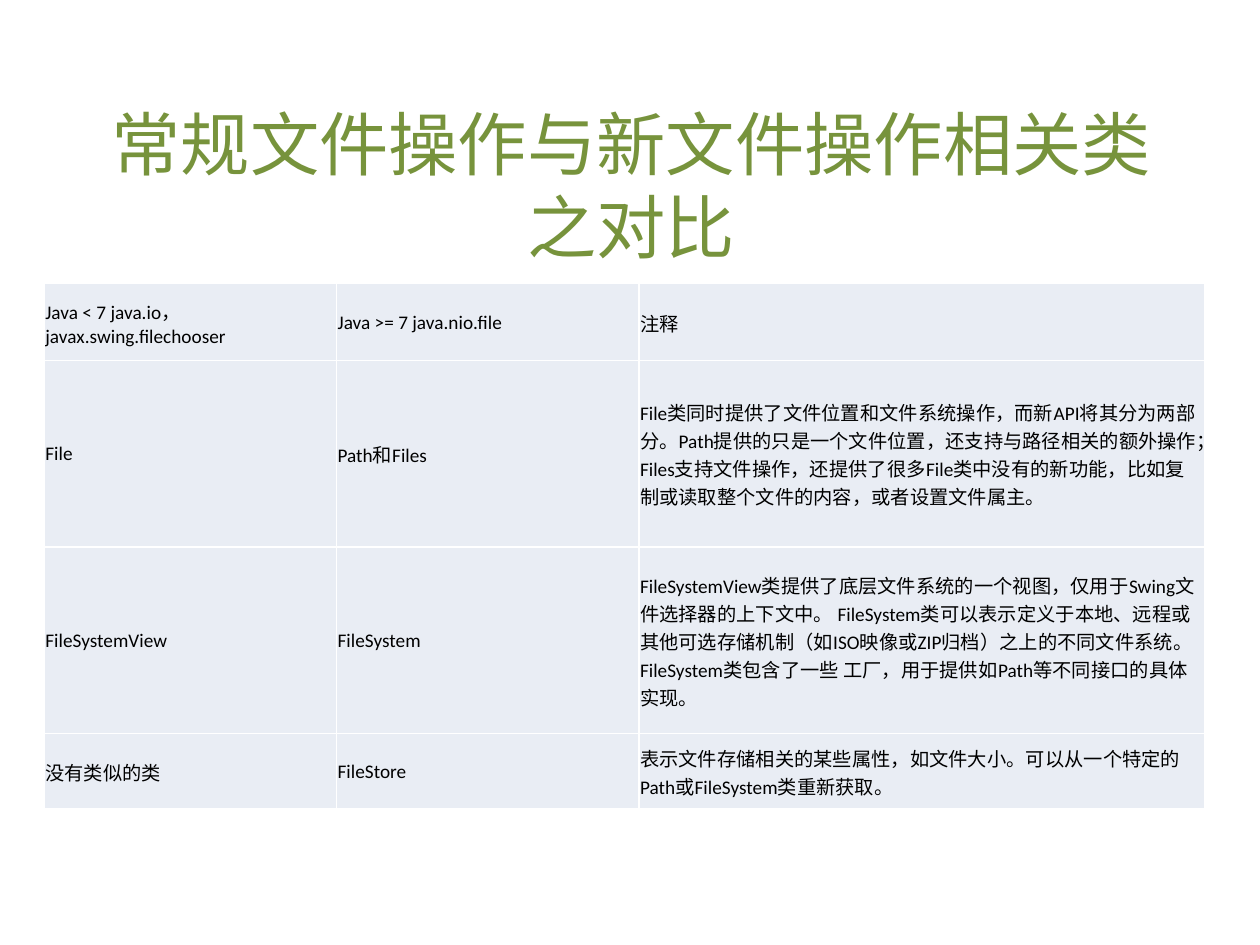
"""Build a slide that compares the old and new Java file classes in a table."""
from lxml import etree
from pptx import Presentation
from pptx.dml.color import RGBColor
from pptx.enum.text import MSO_ANCHOR, PP_ALIGN
from pptx.oxml import parse_xml
from pptx.oxml.ns import nsdecls, qn
from pptx.util import Inches, Pt

MIDDLE = MSO_ANCHOR.MIDDLE
CENTER = PP_ALIGN.CENTER
LEFT = PP_ALIGN.LEFT
HAN = "Noto Sans CJK SC"
COLORS = {"title": "77933C", "text": "000000", "cell": "E9EDF4", "line": "FFFFFF"}
WIDTHS = [2.32, 2.4, 4.49]
HEIGHTS = [0.61, 1.48, 1.48, 0.6]
ROWS = [
    ["Java < 7 java.io，javax.swing.filechooser", "Java >= 7 java.nio.file", "注释"],
    ["File", "Path和Files",
     "File类同时提供了文件位置和文件系统操作，而新API将其分为两部分。"
     "Path提供的只是一个文件位置，还支持与路径相关的额外操作；"
     "Files支持文件操作，还提供了很多File类中没有的新功能，"
     "比如复制或读取整个文件的内容，或者设置文件属主。"],
    ["FileSystemView", "FileSystem",
     "FileSystemView类提供了底层文件系统的一个视图，仅用于Swing文件选择器的上下文中。 "
     "FileSystem类可以表示定义于本地、远程或其他可选存储机制"
     "（如ISO映像或ZIP归档）之上的不同文件系统。"
     "FileSystem类包含了一些 工厂，用于提供如Path等不同接口的具体实现。"],
    ["没有类似的类", "FileStore",
     "表示文件存储相关的某些属性，如文件大小。"
     "可以从一个特定的Path或FileSystem类重新获取。"],
]


def style(para, face, size, color, align):
    para.alignment = align
    font = para.font
    font.name, font.size = face, Pt(size)
    font.color.rgb = RGBColor.from_string(COLORS[color])
    props = para._p.pPr.find(qn("a:defRPr"))
    latin = props.find(qn("a:latin"))
    east = etree.Element(qn("a:ea"), typeface=HAN)
    latin.addnext(east)


def border(cell):
    props = cell._tc.get_or_add_tcPr()
    for side in ("lnL", "lnR", "lnT", "lnB"):
        props.append(parse_xml(
            f'<a:{side} {nsdecls("a")} w="{Pt(1)}"><a:solidFill>'
            f'<a:srgbClr val="{COLORS["line"]}"/></a:solidFill></a:{side}>'))


prs = Presentation()
prs.slide_width, prs.slide_height = Inches(10), Inches(7.5)
slide = prs.slides.add_slide(prs.slide_layouts[5])

title = slide.shapes.title
title.left, title.top = Inches(0.51), Inches(0.84)
title.width, title.height = Inches(9), Inches(1.25)
title.text_frame.text = "常规文件操作与新文件操作相关类之对比"
title.text_frame.vertical_anchor = MIDDLE
style(title.text_frame.paragraphs[0], HAN, 39.6, "title", CENTER)

table = slide.shapes.add_table(
    len(ROWS), len(WIDTHS), Inches(0.35), Inches(2.25),
    Inches(sum(WIDTHS)), Inches(sum(HEIGHTS))).table
table.first_row = table.horz_banding = False
for col, width in zip(table.columns, WIDTHS):
    col.width = Inches(width)
for row, height, texts in zip(table.rows, HEIGHTS, ROWS):
    row.height = Inches(height)
    for cell, text in zip(row.cells, texts):
        cell.text = text
        cell.vertical_anchor = MIDDLE
        cell.margin_left = cell.margin_right = cell.margin_top = Inches(0.01)
        cell.margin_bottom = 0
        style(cell.text_frame.paragraphs[0], "Calibri", 11, "text", LEFT)
        border(cell)
        cell.fill.solid()
        cell.fill.fore_color.rgb = RGBColor.from_string(COLORS["cell"])

prs.save("out.pptx")
